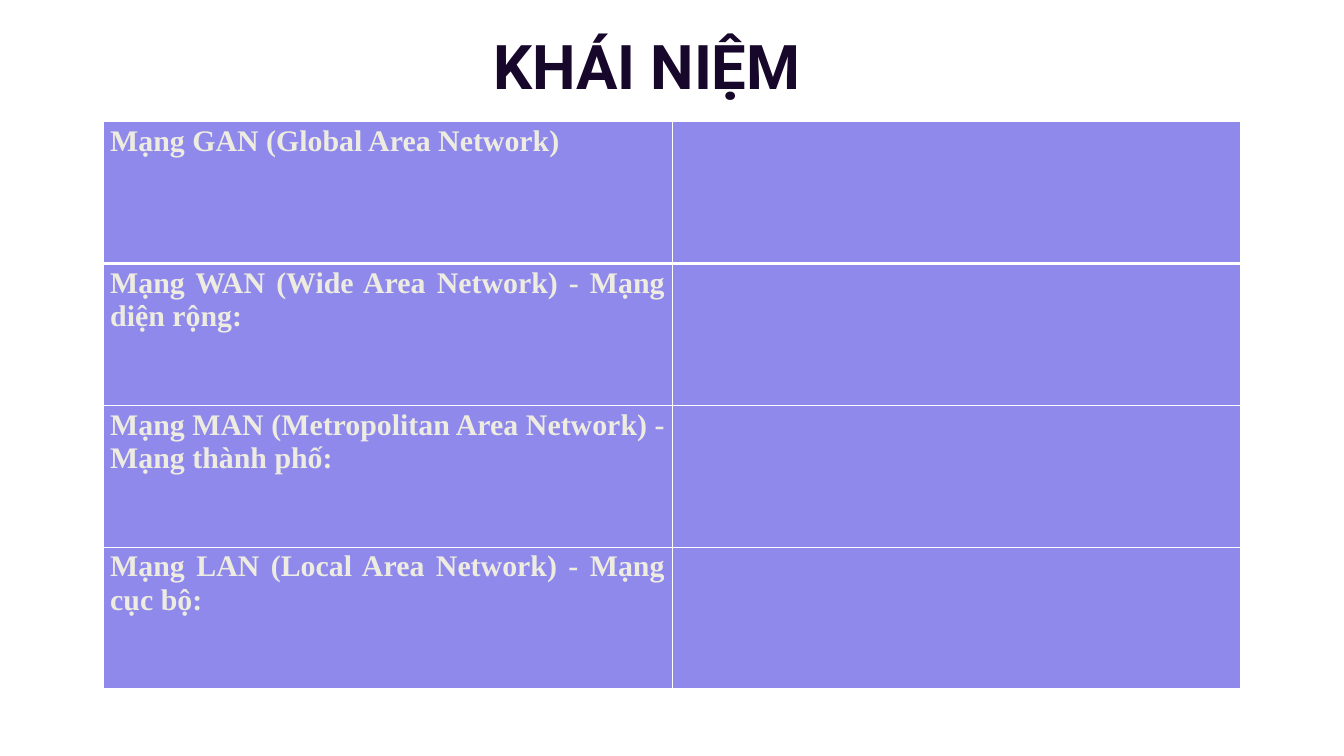
from pptx import Presentation
from pptx import util as u
from pptx.dml.color import RGBColor
from pptx.enum import text
from pptx.oxml.ns import qn
from lxml import etree

NETWORKS = [
    "Mạng GAN (Global Area Network)",
    "Mạng WAN (Wide Area Network) - Mạng diện rộng:",
    "Mạng MAN (Metropolitan Area Network) - Mạng thành phố:",
    "Mạng LAN (Local Area Network) - Mạng cục bộ:",
]
COLUMNS = 2
COLUMN_WIDTH, ROW_HEIGHT = 8.46, 2.11
WHITE, PURPLE, CREAM, INK = "FFFFFF", "8E89EB", "EEECE1", "17072A"


def colour(value):
    return RGBColor.from_string(value)


def write(frame, words, *, font, size, color, align, before=0, spacing=None):
    """Put one bold paragraph in the frame; spacing is in hundredths of a point."""
    para = frame.paragraphs[0]
    para.alignment = align
    para.space_before = u.Pt(before)
    span = para.add_run()
    span.text = words
    span.font.name = font
    span.font.size = u.Pt(size)
    span.font.bold = True
    span.font.color.rgb = colour(color)
    if spacing is not None:
        span.font._element.set("spc", str(spacing))


def add_border(cell, side, width):
    properties = cell._tc.get_or_add_tcPr()
    line = etree.SubElement(properties, qn(f"a:ln{side}"), w=str(u.Pt(width)))
    fill = etree.SubElement(line, qn("a:solidFill"))
    etree.SubElement(fill, qn("a:srgbClr"), val=WHITE)


def format_cell(cell, bottom):
    # Borders come before the fill in the cell properties.
    for side, width in zip("LRTB", (1, 1, 1, bottom)):
        add_border(cell, side, width)
    cell.fill.solid()
    cell.fill.fore_color.rgb = colour(PURPLE)


def add_title(page):
    title = page.shapes.title
    title.left, title.top = u.Inches(7.33), u.Inches(0.41)
    title.width, title.height = u.Inches(4.9), u.Inches(1.12)
    frame = title.text_frame
    frame.margin_left = frame.margin_right = frame.margin_bottom = 0
    frame.margin_top = u.Inches(0.01)
    frame.vertical_anchor = text.MSO_ANCHOR.TOP
    frame.auto_size = text.MSO_AUTO_SIZE.SHAPE_TO_FIT_TEXT
    write(frame, "KHÁI NIỆM", font="Roboto", size=66, color=INK,
          align=text.PP_ALIGN.LEFT, before=1, spacing=-10)
    frame.paragraphs[0]._p.get_or_add_pPr().set("marL", str(u.Inches(0.01)))


def add_network_table(page):
    rows = len(NETWORKS)
    table = page.shapes.add_table(
        rows, COLUMNS, u.Inches(1.54), u.Inches(1.81),
        u.Inches(COLUMNS * COLUMN_WIDTH), u.Inches(rows * ROW_HEIGHT)).table
    table.horz_banding = False
    for index, (row, network) in enumerate(zip(table.rows, NETWORKS)):
        row.height = u.Inches(ROW_HEIGHT)
        for cell in row.cells:
            format_cell(cell, bottom=3 if index == 0 else 1)
        write(row.cells[0].text_frame, network, font="Times New Roman",
              size=32, color=CREAM, align=text.PP_ALIGN.JUSTIFY)


def main():
    deck = Presentation()
    deck.slide_width, deck.slide_height = u.Inches(20), u.Inches(11.25)
    page = deck.slides.add_slide(deck.slide_layouts[5])
    page.background.fill.solid()
    page.background.fill.fore_color.rgb = colour(WHITE)
    add_title(page)
    add_network_table(page)
    deck.save("out.pptx")


if __name__ == "__main__":
    main()
